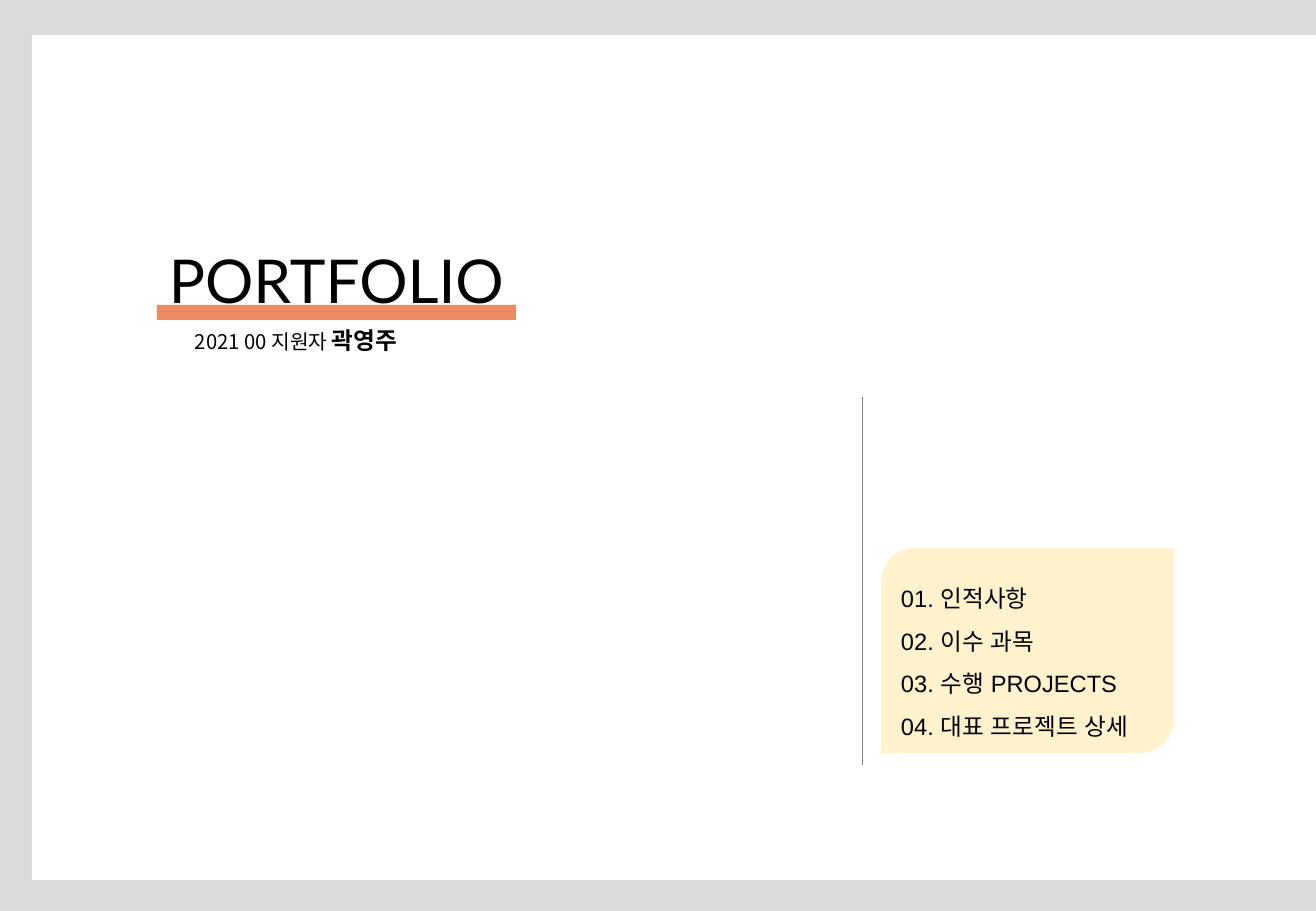
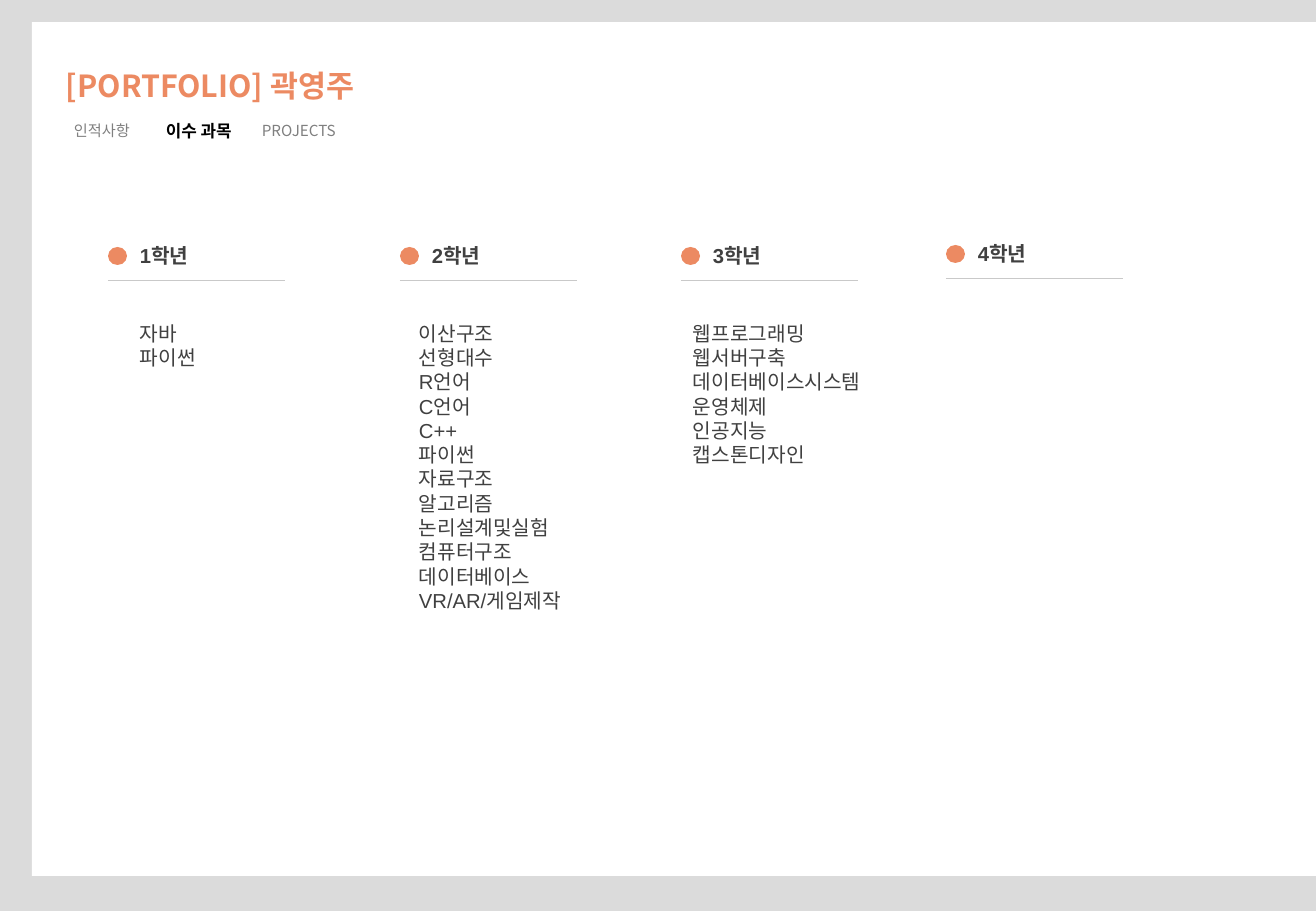
from lxml.etree import SubElement
from pptx import Presentation
from pptx.dml.color import RGBColor
from pptx.enum.shapes import MSO_CONNECTOR, MSO_SHAPE
from pptx.enum.text import MSO_AUTO_SIZE
from pptx.oxml.ns import qn
from pptx.util import Emu, Pt

EMU_PER_INCH = 914400
PX_PER_INCH = 121.5
SLIDE_W, SLIDE_H = 1316, 911
PAGE_LEFT = 32

BACKDROP = "DBDBDB"
WHITE = "FFFFFF"
BLACK = "000000"
ORANGE = "EC8A62"
CREAM = "FFF2CC"
GRAY = "808080"
LIGHT_GRAY = "C9C9C9"
DARK_GRAY = "404040"

HEADING_FONT = "Lato"
KOREAN_FONT = "Noto Sans CJK KR"
BODY_FONT = "Arial"

CONTENTS = ["01. 인적사항", "02. 이수 과목", "03. 수행 PROJECTS", "04. 대표 프로젝트 상세"]

# left, top of the heading, heading, left of the course list, courses
SCHOOL_YEARS = [
    (108, 237, "1학년", 128, ["자바", "파이썬"]),
    (400, 237, "2학년", 407, [
        "이산구조", "선형대수", "R언어", "C언어", "C++", "파이썬", "자료구조", "알고리즘",
        "논리설계및실험", "컴퓨터구조", "데이터베이스", "VR/AR/게임제작"]),
    (681, 237, "3학년", 681, [
        "웹프로그래밍", "웹서버구축", "데이터베이스시스템", "운영체제", "인공지능", "캡스톤디자인"]),
    (946, 235, "4학년", 946, []),
]


def px(length):
    return Emu(round(length * EMU_PER_INCH / PX_PER_INCH))


def color(hex_code):
    return RGBColor.from_string(hex_code)


def add_block(slide, kind, left, top, width, height, fill):
    block = slide.shapes.add_shape(kind, px(left), px(top), px(width), px(height))
    block.shadow.inherit = False
    block.fill.solid()
    block.fill.fore_color.rgb = color(fill)
    block.line.fill.background()


def add_rule(slide, x1, y1, x2, y2, stroke):
    rule = slide.shapes.add_connector(MSO_CONNECTOR.STRAIGHT, px(x1), px(y1), px(x2), px(y2))
    rule.line.color.rgb = color(stroke)
    rule.line.width = Pt(0.5)
    SubElement(rule._element.spPr, qn("a:effectLst"))


def style_run(run, face, size, ink, bold=False):
    """Apply the face to Latin and Korean letters alike."""
    font = run.font
    font.name = face
    font.size = Pt(size)
    font.bold = bold
    font.color.rgb = color(ink)
    SubElement(run._r.get_or_add_rPr(), qn("a:ea")).set("typeface", face)


def add_text(slide, left, top, width, height, lines, face, size, ink,
             bold=False, wrap=True, spacing=None):
    """Add one paragraph per line and return the text frame."""
    frame = slide.shapes.add_textbox(px(left), px(top), px(width), px(height)).text_frame
    frame.word_wrap = wrap
    frame.auto_size = MSO_AUTO_SIZE.SHAPE_TO_FIT_TEXT
    frame.text = "\n".join(lines)
    for paragraph in frame.paragraphs:
        if spacing:
            paragraph.line_spacing = spacing
        for run in paragraph.runs:
            style_run(run, face, size, ink, bold)
    return frame


def add_page(deck, top, height):
    """Add a slide with a white sheet on the gray backdrop."""
    slide = deck.slides.add_slide(deck.slide_layouts[6])
    slide.background.fill.solid()
    slide.background.fill.fore_color.rgb = color(BACKDROP)
    add_block(slide, MSO_SHAPE.RECTANGLE, PAGE_LEFT, top, SLIDE_W - PAGE_LEFT, height, WHITE)
    return slide


def add_school_year(slide, left, top, heading, list_left, courses):
    add_block(slide, MSO_SHAPE.OVAL, left, top + 10, 19, 18, ORANGE)
    add_text(slide, left + 20, top, 170, 37, [heading], BODY_FONT, 12, DARK_GRAY, bold=True)
    add_rule(slide, left, top + 43, left + 177, top + 43, LIGHT_GRAY)
    if courses:
        add_text(slide, list_left, 315, 215, 12 + 25 * len(courses), courses,
                 BODY_FONT, 12, DARK_GRAY)


def build_cover(deck):
    slide = add_page(deck, 35, 845)
    add_block(slide, MSO_SHAPE.ROUND_2_DIAG_RECTANGLE, 881, 548, 293, 205, CREAM)
    add_block(slide, MSO_SHAPE.RECTANGLE, 157, 305, 359, 15, ORANGE)
    add_text(slide, 157, 237, 363, 85, ["PORTFOLIO"], HEADING_FONT, 35.8, BLACK, wrap=False)
    applicant = add_text(slide, 183, 320, 247, 41, ["2021 00 지원자 "],
                         KOREAN_FONT, 12, BLACK, wrap=False)
    name = applicant.paragraphs[0].add_run()
    name.text = "곽영주"
    style_run(name, KOREAN_FONT, 14, BLACK, bold=True)
    add_rule(slide, 862, 397, 862, 765, GRAY)
    add_text(slide, 889, 564, 277, 183, CONTENTS, BODY_FONT, 14, BLACK, spacing=1.5)


def build_courses(deck):
    slide = add_page(deck, 22, 854)
    for left, width, label, size, ink, current in [
        (62, 170, "인적사항", 9, GRAY, False),
        (154, 111, "이수 과목", 10, BLACK, True),
        (250, 170, "PROJECTS", 9, GRAY, False),
    ]:
        add_text(slide, left, 115, width, 31, [label], KOREAN_FONT, size, ink, bold=current)
    add_text(slide, 54, 61, 369, 69, ["[PORTFOLIO] 곽영주"], KOREAN_FONT, 18, ORANGE, bold=True)
    for school_year in SCHOOL_YEARS:
        add_school_year(slide, *school_year)


def main():
    deck = Presentation()
    deck.slide_width, deck.slide_height = px(SLIDE_W), px(SLIDE_H)
    build_cover(deck)
    build_courses(deck)
    deck.save("out.pptx")


if __name__ == "__main__":
    main()
